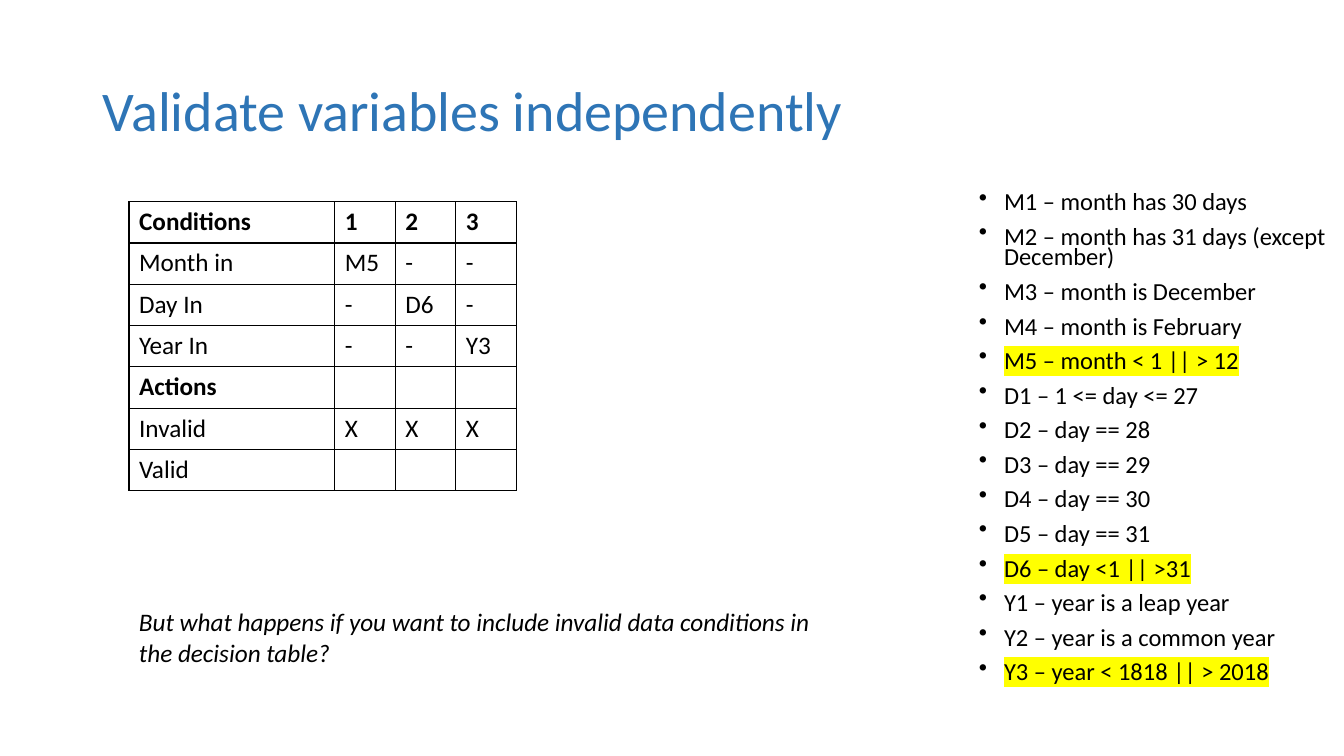
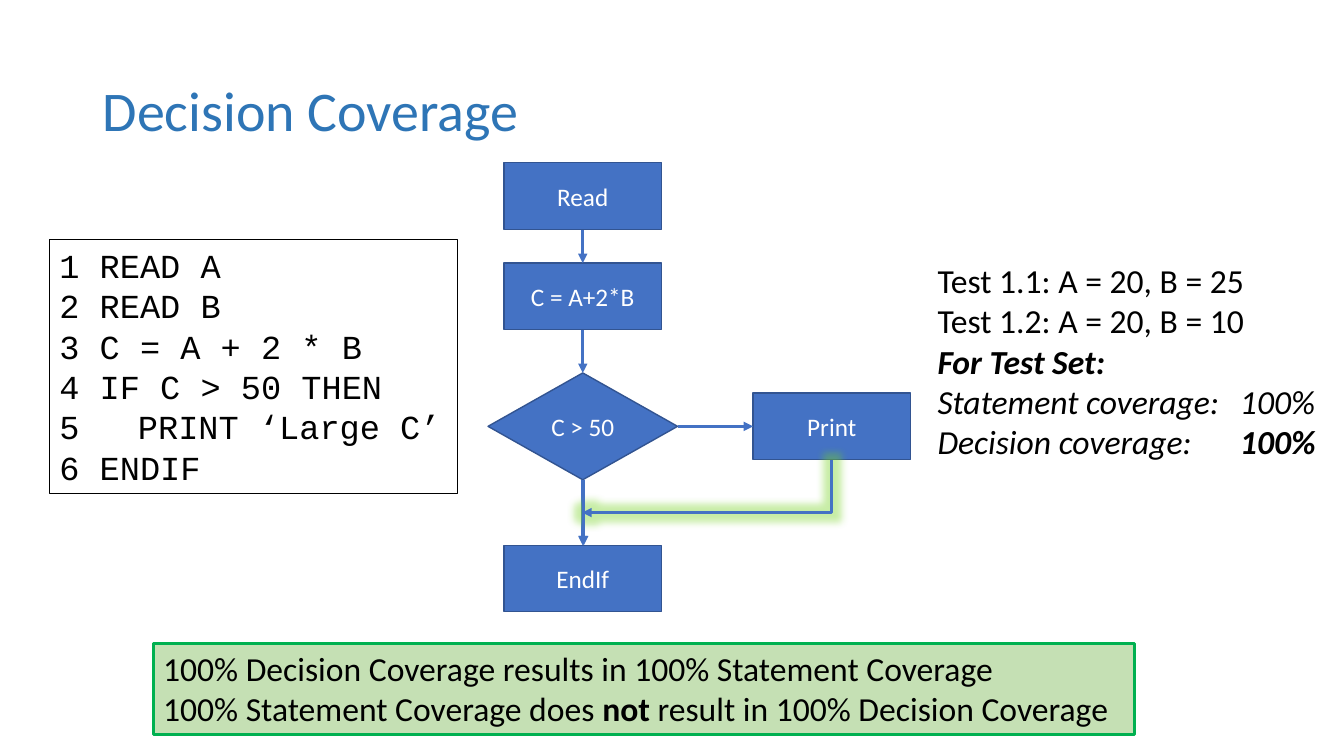
from dataclasses import dataclass
from typing import Any, Optional

import lxml.etree
import pptx
import pptx.dml.color
import pptx.enum.shapes
import pptx.enum.text
import pptx.oxml.ns
import pptx.slide
import pptx.util

EMU_PER_PX = 9144  # 100 px to the inch
COLORS = {
    "title": "2E75B6",
    "text": "000000",
    "highlight": "FFFF00",
    "node": "4472C4",
    "node_line": "325491",
    "node_text": "FFFFFF",
    "glow": "75D321",
    "callout": "C5E0B4",
    "callout_line": "00B050",
}
BODY_FONT = "Calibri"
CODE_FONT = "Courier New"
SHAPES = pptx.enum.shapes.MSO_SHAPE
ALIGN = pptx.enum.text.PP_ALIGN
ANCHOR = pptx.enum.text.MSO_ANCHOR


@dataclass(frozen=True)
class Area:
    left: int
    top: int
    width: int
    height: int

    def emu(self) -> tuple[int, int, int, int]:
        return px(self.left), px(self.top), px(self.width), px(self.height)


@dataclass(frozen=True)
class Span:
    text: str
    bold: bool = False
    italic: bool = False
    highlight: bool = False


@dataclass(frozen=True)
class Style:
    size: float
    color: str = "text"
    font: str = BODY_FONT
    line_spacing: Optional[float] = None
    space_before: float = 0
    align: Any = ALIGN.LEFT


@dataclass(frozen=True)
class Bullet:
    kind: str
    attributes: dict[str, str]
    indent: int


@dataclass(frozen=True)
class Para:
    spans: list[Span]
    bullet: Optional[Bullet] = None


@dataclass(frozen=True)
class Node:
    text: str
    area: Area
    shape: Any = SHAPES.RECTANGLE


TITLE = Style(40, "title", line_spacing=0.9)
BODY = Style(18)
LARGE = Style(24)
CODE = Style(24, font=CODE_FONT)
RULES = Style(17.5, line_spacing=0.7, space_before=10)
NODE = Style(18, "node_text", align=ALIGN.CENTER)
DOT = Bullet("buChar", {"char": "•"}, 25)
LINE_FIVE = Bullet("buAutoNum", {"type": "arabicPlain", "startAt": "5"}, 78)

TITLE_AREA = Area(92, 40, 1150, 145)

# Slide 1 content
TABLE_ROWS = [
    ["Conditions", "1", "2", "3"],
    ["Month in", "M5", "-", "-"],
    ["Day In", "-", "D6", "-"],
    ["Year In", "-", "-", "Y3"],
    ["Actions", "", "", ""],
    ["Invalid", "X", "X", "X"],
    ["Valid", "", "", ""],
]
BOLD_ROWS = {"Conditions", "Actions"}
COLUMN_WIDTHS = [204, 60, 60, 60]
ROW_HEIGHT = 41
CLASSES = [
    "M1 – month has 30 days",
    "M2 – month has 31 days (except December)",
    "M3 – month is December",
    "M4 – month is February",
    "M5 – month < 1 || > 12",
    "D1 – 1 <= day <= 27",
    "D2 – day == 28",
    "D3 – day == 29",
    "D4 – day == 30",
    "D5 – day == 31",
    "D6 – day <1 || >31",
    "Y1 – year is a leap year",
    "Y2 – year is a common year",
    "Y3 – year < 1818 || > 2018",
]
INVALID_CLASSES = {"M5", "D6", "Y3"}

# Slide 2 content
NODES = [
    Node("Read", Area(500, 161, 156, 67)),
    Node("C = A+2*B", Area(500, 261, 156, 66)),
    Node("C > 50", Area(484, 370, 188, 106), SHAPES.FLOWCHART_DECISION),
    Node("Print", Area(747, 390, 156, 66)),
    Node("EndIf", Area(500, 541, 156, 66)),
]
TOP, LEFT, BOTTOM, RIGHT = range(4)
ARROWS = [
    ("Read", BOTTOM, "C = A+2*B", TOP),
    ("C = A+2*B", BOTTOM, "C > 50", TOP),
    ("C > 50", RIGHT, "Print", LEFT),
    ("C > 50", BOTTOM, "EndIf", TOP),
]


def px(length: int) -> int:
    return pptx.util.Emu(length * EMU_PER_PX)


def rgb(name: str) -> pptx.dml.color.RGBColor:
    return pptx.dml.color.RGBColor.from_string(COLORS[name])


def add_xml(parent: Any, tag: str, **attributes: str) -> Any:
    return lxml.etree.SubElement(parent, pptx.oxml.ns.qn(f"a:{tag}"), attributes)


def plain(*lines: str, **marks: bool) -> list[Para]:
    return [Para([Span(line, **marks)]) for line in lines]


def write_span(para: Any, span: Span, style: Style) -> None:
    run = para.add_run()
    run.text = span.text
    run.font.size = pptx.util.Pt(style.size)
    run.font.name = style.font
    run.font.bold = span.bold
    run.font.italic = span.italic
    run.font.color.rgb = rgb(style.color)
    if span.highlight:
        properties = run.font._element
        mark = add_xml(properties, "highlight")
        add_xml(mark, "srgbClr", val=COLORS["highlight"])
        properties.find(pptx.oxml.ns.qn("a:solidFill")).addnext(mark)


def write_text(frame: Any, paras: list[Para], style: Style) -> None:
    frame.word_wrap = True
    for index, item in enumerate(paras):
        para = frame.add_paragraph() if index else frame.paragraphs[0]
        para.alignment = style.align
        para.line_spacing = style.line_spacing
        para.space_before = pptx.util.Pt(style.space_before)
        if item.bullet:
            properties = para._p.get_or_add_pPr()
            indent = px(item.bullet.indent)
            properties.set("marL", str(indent))
            properties.set("indent", str(-indent))
            add_xml(properties, item.bullet.kind, **item.bullet.attributes)
        for span in item.spans:
            write_span(para, span, style)


def add_text(page: pptx.slide.Slide, area: Area, paras: list[Para], style: Style) -> Any:
    box = page.shapes.add_textbox(*area.emu())
    write_text(box.text_frame, paras, style)
    return box


def outline(shape: Any, color: str, width: float) -> None:
    shape.line.color.rgb = rgb(color)
    shape.line.width = pptx.util.Pt(width)


def add_page(deck: Any, title: str) -> pptx.slide.Slide:
    page = deck.slides.add_slide(deck.slide_layouts[6])
    box = add_text(page, TITLE_AREA, plain(title), TITLE)
    box.text_frame.vertical_anchor = ANCHOR.MIDDLE
    return page


def add_decision_table(page: pptx.slide.Slide, left: int, top: int) -> None:
    area = Area(left, top, sum(COLUMN_WIDTHS), ROW_HEIGHT * len(TABLE_ROWS))
    table = page.shapes.add_table(len(TABLE_ROWS), len(COLUMN_WIDTHS), *area.emu()).table
    table.first_row = table.horz_banding = False
    for column, width in zip(table.columns, COLUMN_WIDTHS):
        column.width = px(width)
    for row, texts in zip(table.rows, TABLE_ROWS):
        row.height = px(ROW_HEIGHT)
        for cell, text in zip(row.cells, texts):
            properties = cell._tc.get_or_add_tcPr()
            for side in ("lnL", "lnR", "lnT", "lnB"):
                border = add_xml(properties, side, w=str(pptx.util.Pt(1)))
                add_xml(add_xml(border, "solidFill"), "srgbClr", val=COLORS["text"])
            cell.fill.background()
            if text:
                write_text(cell.text_frame, plain(text, bold=texts[0] in BOLD_ROWS), BODY)


def add_node(page: pptx.slide.Slide, node: Node) -> Any:
    shape = page.shapes.add_shape(node.shape, *node.area.emu())
    shape.shadow.inherit = False
    shape.fill.solid()
    shape.fill.fore_color.rgb = rgb("node")
    outline(shape, "node_line", 1)
    write_text(shape.text_frame, plain(node.text), NODE)
    shape.text_frame.vertical_anchor = ANCHOR.MIDDLE
    return shape


def add_arrow(page: pptx.slide.Slide, x1: int = 0, y1: int = 0, x2: int = 0, y2: int = 0) -> Any:
    kind = pptx.enum.shapes.MSO_CONNECTOR.STRAIGHT
    arrow = page.shapes.add_connector(kind, px(x1), px(y1), px(x2), px(y2))
    outline(arrow, "node", 2.25)
    properties = arrow._element.spPr
    add_xml(properties.find(pptx.oxml.ns.qn("a:ln")), "tailEnd", type="triangle")
    add_xml(properties, "effectLst")
    return arrow


def add_glowing_return(page: pptx.slide.Slide, area: Area) -> None:
    """Draw a one-bend arrow, turned a quarter so it runs down and then left."""
    arrow = add_arrow(page, area.left, area.top, area.left + area.width, area.top + area.height)
    properties = arrow._element.spPr
    properties.find(pptx.oxml.ns.qn("a:xfrm")).set("rot", "5400000")
    properties.find(pptx.oxml.ns.qn("a:prstGeom")).set("prst", "bentConnector2")
    effects = properties.find(pptx.oxml.ns.qn("a:effectLst"))
    glow = add_xml(effects, "glow", rad=str(pptx.util.Pt(11)))
    add_xml(add_xml(glow, "srgbClr", val=COLORS["glow"]), "alpha", val="40000")


def build_validation_page(deck: Any) -> None:
    page = add_page(deck, "Validate variables independently")
    add_decision_table(page, 128, 200)
    rules = [Para([Span(text, highlight=text[:2] in INVALID_CLASSES)], DOT) for text in CLASSES]
    add_text(page, Area(961, 188, 366, 524), rules, RULES)
    question = plain(
        "But what happens if you want to include invalid data conditions in",
        "the decision table?",
        italic=True,
    )
    add_text(page, Area(128, 597, 693, 71), question, BODY)


def build_coverage_page(deck: Any) -> None:
    page = add_page(deck, "Decision Coverage")

    # Flow chart
    shapes = {node.text: add_node(page, node) for node in NODES}
    for start, start_side, end, end_side in ARROWS:
        arrow = add_arrow(page)
        arrow.begin_connect(shapes[start], start_side)
        arrow.end_connect(shapes[end], end_side)
    add_glowing_return(page, Area(675, 359, 52, 247))

    # Program listing
    code = plain("1 READ A", "2 READ B", "3 C = A + 2 * B", "4 IF C > 50 THEN")
    code.append(Para([Span("PRINT ‘Large C’")], LINE_FIVE))
    code += plain("6 ENDIF")
    outline(add_text(page, Area(49, 238, 405, 252), code, CODE), "text", 0.75)

    # Test results
    tests = plain("Test 1.1: A = 20, B = 25", "Test 1.2: A = 20, B = 10")
    tests += plain("For Test Set:", bold=True, italic=True)
    tests += plain("Statement coverage: \t100%", italic=True)
    tests.append(Para([Span("Decision coverage: \t", italic=True),
                       Span("100%", bold=True, italic=True)]))
    add_text(page, Area(920, 253, 398, 252), tests, LARGE)

    # Second path from the decision to the end
    add_arrow(page, 579, 476, 579, 541)

    # Conclusion
    conclusion = plain("100% Decision Coverage results in 100% Statement Coverage")
    conclusion.append(Para([Span("100% Statement Coverage does "), Span("not ", bold=True),
                            Span("result in 100% Decision Coverage")]))
    box = add_text(page, Area(152, 638, 973, 91), conclusion, LARGE)
    box.fill.solid()
    box.fill.fore_color.rgb = rgb("callout")
    outline(box, "callout_line", 2.25)


def main() -> None:
    deck = pptx.Presentation()
    deck.slide_width, deck.slide_height = px(1333), px(750)
    build_validation_page(deck)
    build_coverage_page(deck)
    deck.save("out.pptx")


if __name__ == "__main__":
    main()
